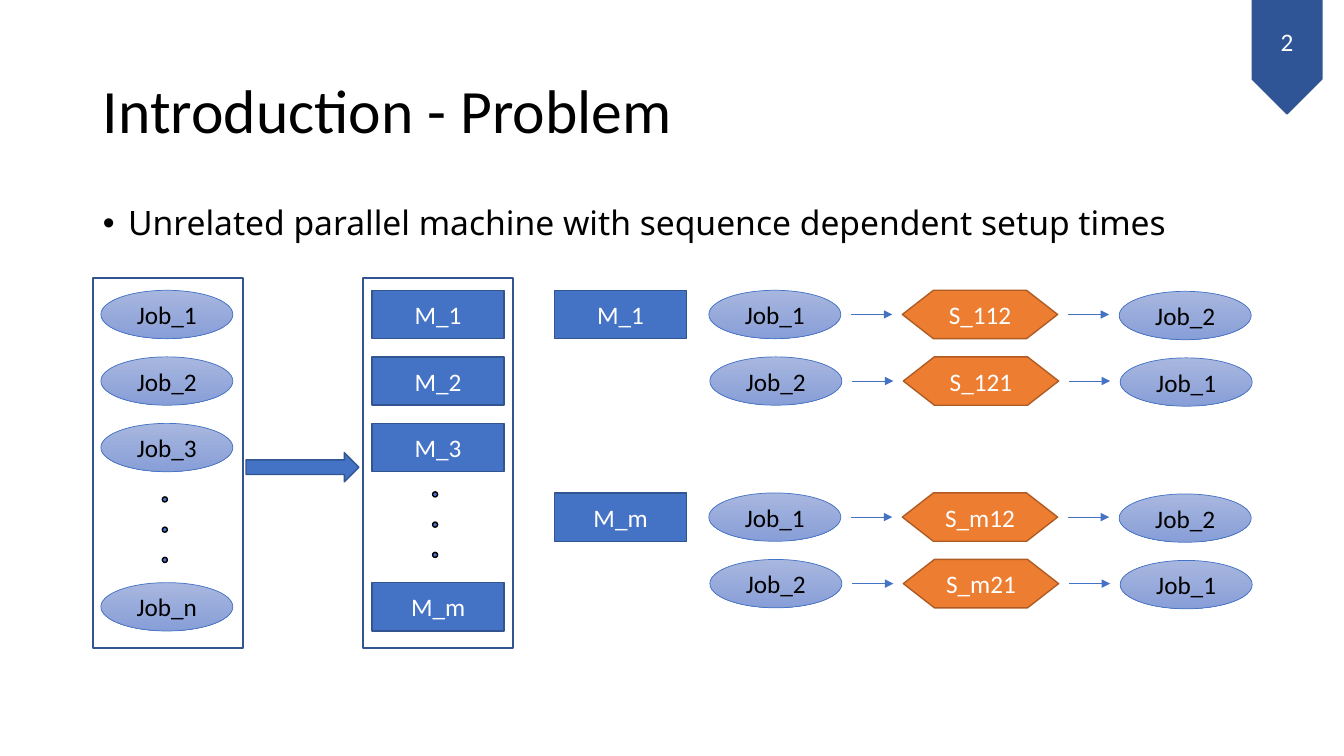
from pptx import Presentation
from pptx.dml.color import RGBColor
from pptx.enum.shapes import MSO_CONNECTOR, MSO_SHAPE
from pptx.enum.text import MSO_ANCHOR, MSO_AUTO_SIZE, PP_ALIGN
from pptx.oxml.ns import qn
from pptx.util import Inches, Pt
from lxml import etree

OVAL = MSO_SHAPE.OVAL
RECT = MSO_SHAPE.RECTANGLE
PREP = MSO_SHAPE.FLOWCHART_PREPARATION
ARROW = MSO_SHAPE.RIGHT_ARROW
TAG = MSO_SHAPE.PENTAGON
STRAIGHT = MSO_CONNECTOR.STRAIGHT
MIDDLE, TOP = MSO_ANCHOR.MIDDLE, MSO_ANCHOR.TOP
LEFT, CENTER = PP_ALIGN.LEFT, PP_ALIGN.CENTER
NO_FIT = MSO_AUTO_SIZE.NONE

COLORS = {
    "black": "000000", "white": "FFFFFF", "blue": "4472C4", "navy": "325491",
    "tag": "2F5597", "orange": "ED7D31", "rust": "AF5C24",
    "pale": "A8B7DF", "dusk": "889ED7",
}
RGB = {name: RGBColor.from_string(code) for name, code in COLORS.items()}

STYLES = {
    "job": {"kind": OVAL, "fill": ("pale", "dusk"), "line": "blue", "width": 0.5, "ink": "black"},
    "machine": {"kind": RECT, "fill": ("blue",), "line": "navy", "width": 1, "ink": "white"},
    "setup": {"kind": PREP, "fill": ("orange",), "line": "rust", "width": 1, "ink": "white"},
    "frame": {"kind": RECT, "fill": (), "line": "navy", "width": 1.5, "ink": "black"},
    "dot": {"kind": OVAL, "fill": ("blue",), "line": "black", "width": 1, "ink": "black"},
    "flow": {"kind": ARROW, "fill": ("blue",), "line": "navy", "width": 1, "ink": "white"},
    "tag": {"kind": TAG, "fill": ("tag",), "line": "navy", "width": 1, "ink": "white"},
}

deck = Presentation()
deck.slide_width, deck.slide_height = Inches(13.33), Inches(7.5)
slide = deck.slides.add_slide(deck.slide_layouts[1])
shapes = slide.shapes


def write(shape, text, size, font, ink, align, anchor):
    frame = shape.text_frame
    frame.text = text
    frame.word_wrap = True
    frame.vertical_anchor = anchor
    para = frame.paragraphs[0]
    para.alignment = align
    for key, value in {"size": Pt(size), "name": font}.items():
        setattr(para.font, key, value)
    para.font.color.rgb = RGB[ink]
    return para


def draw(name, left, top, width, height, text=""):
    style = STYLES[name]
    shape = shapes.add_shape(style["kind"], *map(Inches, (left, top, width, height)))
    shape.shadow.inherit = False
    fill = style["fill"]
    if len(fill) == 2:
        shape.fill.gradient()
        shape.fill.gradient_angle = 270
        for stop, shade in zip(shape.fill.gradient_stops, fill):
            stop.color.rgb = RGB[shade]
    elif fill:
        shape.fill.solid()
        shape.fill.fore_color.rgb = RGB[fill[0]]
    else:
        shape.fill.background()
    shape.line.color.rgb = RGB[style["line"]]
    shape.line.width = Pt(style["width"])
    if text:
        write(shape, text, 18, "Calibri", style["ink"], CENTER, MIDDLE)
    return shape


title, body = shapes.title, slide.placeholders[1]
for holder, top, height, text, size, font, anchor in [
    (title, 0.4, 1.45, "Introduction - Problem", 44, "Calibri", MIDDLE),
    (body, 2, 0.59, "Unrelated parallel machine with sequence dependent setup times",
     24, "Noto Sans", TOP),
]:
    box = {"left": 0.92, "top": top, "width": 11.5, "height": height}
    for key, value in box.items():
        setattr(holder, key, Inches(value))
    para = write(holder, text, size, font, "black", LEFT, anchor)
    para.line_spacing = 0.9
    holder.text_frame.auto_size = NO_FIT

para.space_before = Pt(10)
props = para._p.get_or_add_pPr()
props.set("marL", str(Inches(0.25)))
props.set("indent", str(Inches(-0.25)))
etree.SubElement(props, qn("a:buFont")).set("typeface", "Arial")
etree.SubElement(props, qn("a:buChar")).set("char", "•")

tag = draw("tag", 12.13, 0.15, 1.27, 0.69, "2")
tag.rotation = 90
tag.text_frame._txBody.bodyPr.set("vert", "vert270")

WIDE, HIGH, STEP, FIRST = 1.31, 0.48, 0.66, 2.88
LAST = 5.78

for name, stem, edge, left, dot_x, dot_y, ends in [
    ("job", "Job", 0.92, 1, 1.61, 4.93, "123n"),
    ("machine", "M", 3.6, 3.69, 4.29, 4.88, "123m"),
]:
    draw("frame", edge, 2.76, 1.49, 3.67)
    for row, end in enumerate(ends):
        top = FIRST + row * STEP if row < 3 else LAST
        draw(name, left, top, WIDE, HIGH, f"{stem}_{end}")
    for row in range(3):
        draw("dot", dot_x, dot_y + row * 0.3, 0.05, 0.05)

draw("flow", 2.44, 4.49, 1.12, 0.29)

for unit, start in [("1", FIRST), ("m", 4.89)]:
    draw("machine", 5.5, start, WIDE, HIGH, f"M_{unit}")
    for row, (prior, after) in enumerate(["12", "21"]):
        top, shift = start + row * STEP, row * 0.01
        draw("job", 7.03 + shift, top, WIDE, HIGH, f"Job_{prior}")
        draw("setup", 8.95 + shift, top, 1.54, HIGH, f"S_{unit}{prior}{after}")
        draw("job", 11.1 + shift, top + 0.01, WIDE, HIGH, f"Job_{after}")
        for left in (8.44, 10.59):
            x, y = left + shift, top + HIGH / 2
            link = shapes.add_connector(STRAIGHT, *map(Inches, (x, y, x + 0.41, y)))
            link.line.color.rgb = RGB["blue"]
            link.line.width = Pt(0.5)
            edge = link.line._get_or_add_ln()
            etree.SubElement(edge, qn("a:tailEnd")).set("type", "triangle")
            etree.SubElement(link._element.spPr, qn("a:effectLst"))

deck.save("out.pptx")
